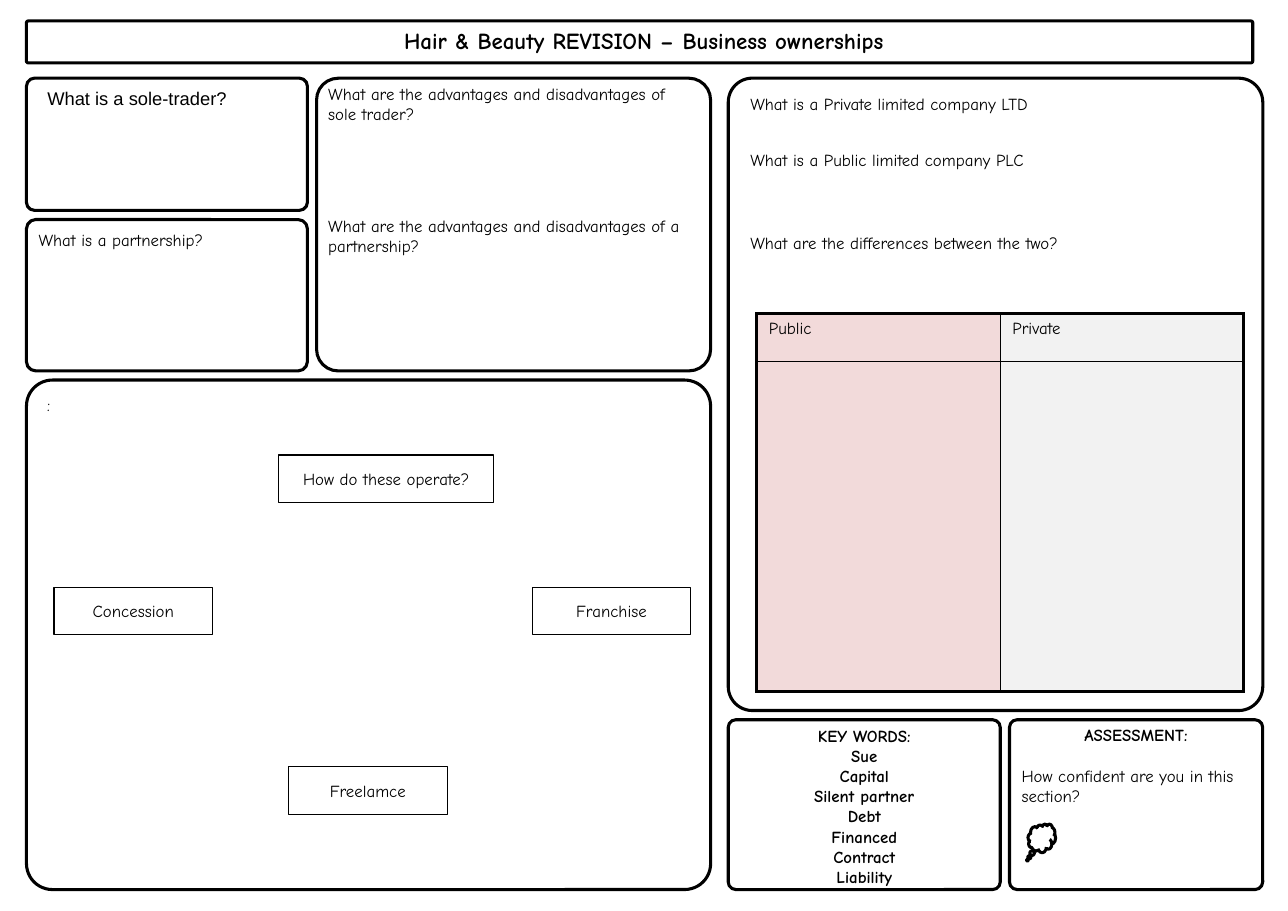
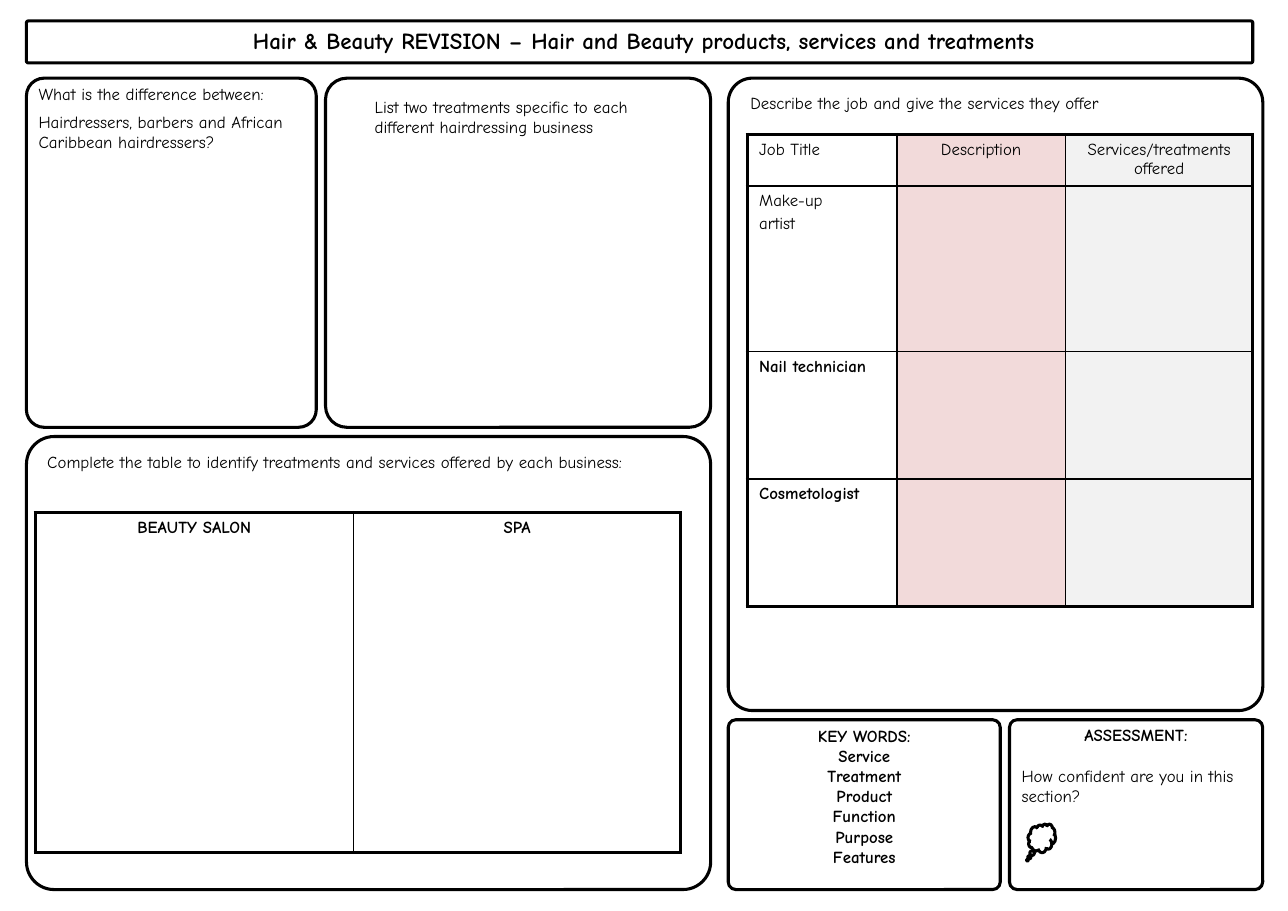
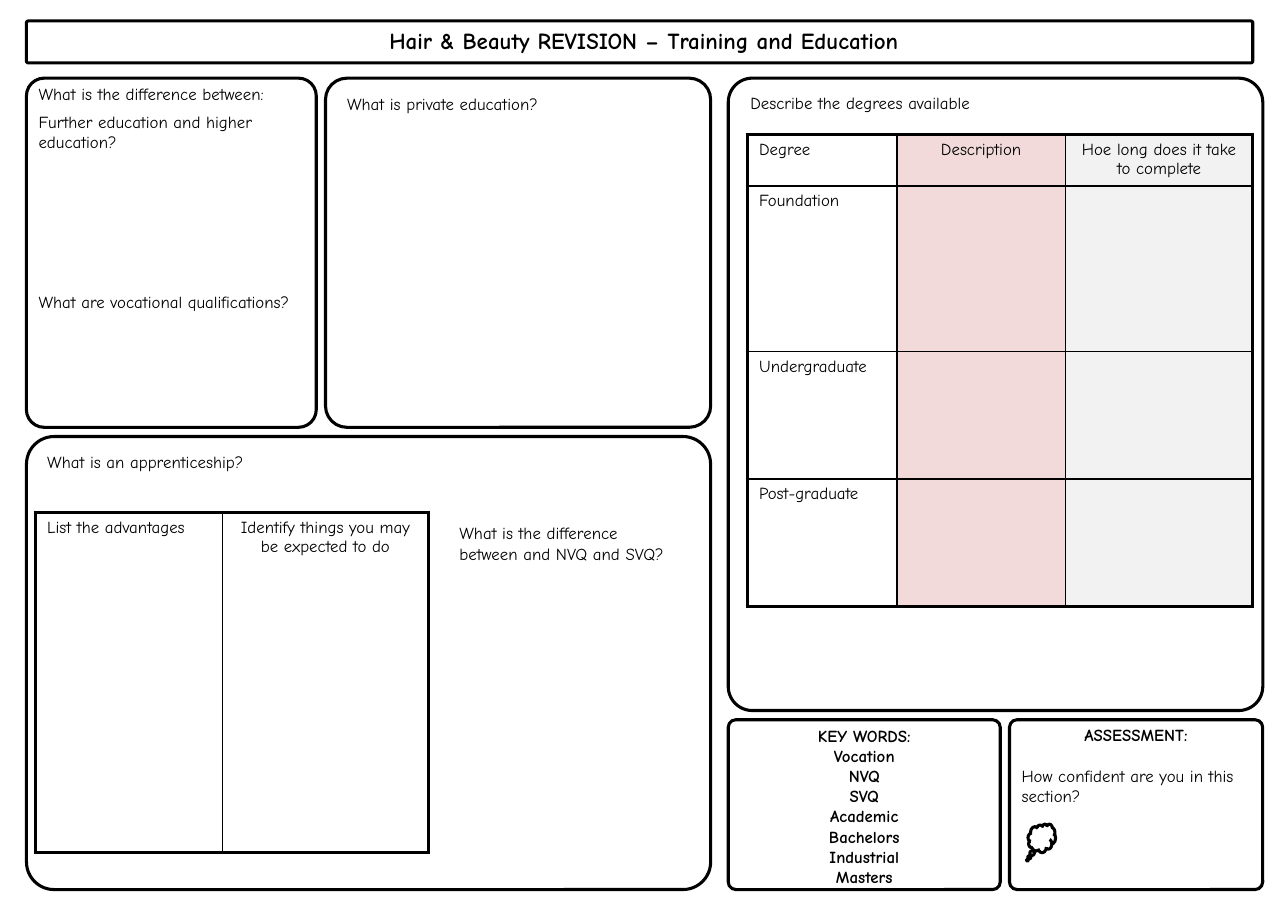
import pptx
import pptx.dml.color
import pptx.enum.shapes
import pptx.enum.text
import pptx.oxml
import pptx.oxml.ns
import pptx.util

Pt = pptx.util.Pt
SHAPES = pptx.enum.shapes.MSO_SHAPE
ALIGN = pptx.enum.text.PP_ALIGN
ANCHOR = pptx.enum.text.MSO_ANCHOR

INK, PINK, GREY = "000000", "F2DADA", "F2F2F2"
HAND, PLAIN = "Comic Neue", "Arial"
PAGE = (841.7, 595.4)
GAP, TOP, BOTTOM = 6, 51.1, 581.4
LEFT, LEFT_WIDTH = 17.3, 447.1
RIGHT, RIGHT_WIDTH = 475.9, 349.3
RIGHT_HEIGHT, KEY_WORDS_WIDTH = 413.3, 177.8
BANNER = (LEFT, 13.7, 801.4, 27.4)
TITLE_BOX = (72, 13.7, 697.7, 26.6)
CLOUD = (671.8, 538.6, 18, 18.7)
LABEL_HEIGHT, LABEL_WIDTH = 31, 103.7
OUTER, INNER = 2.25, 1

JOB_GRID = dict(at=(488.2, 87.8), columns=(97.9, 110.2, 122.4),
                rows=(33.8, 108, 83.5, 83.5), fills=(None, PINK, GREY),
                centred=(False, True, True))
BUSINESS_GRID = dict(at=(23, 334.8), rows=(222.5,), fills=(None, None))
WIDE_LAYOUT = dict(first_width=189.4, upper_height=228.2, first_heights=(228.2,),
                   corners=(0.061, 0.061, 0.061))

SHEETS = [
    dict(
        title="Hair & Beauty REVISION – Business ownerships",
        key_words=["Sue", "Capital", "Silent partner", "Debt", "Financed",
                   "Contract", "Liability"],
        layout=dict(first_width=183.6, upper_height=191.3, first_heights=(86.4, 98.9),
                    corners=(0.061, 0.074, 0.051)),
        questions=[
            ((23, 53.3, 159.1), [("What is a sole-trader?", 0)], (PLAIN, 12)),
            ((17.3, 146.9, 177.8), [("What is a partnership?", 0)]),
            ((206.6, 51.1, 251.3),
             [("What are the advantages and disadvantages of sole trader?", 0),
              ("What are the advantages and disadvantages of a partnership?", 59.6)]),
            ((23, 254.2, 257), [(":", 0)]),
            ((482.4, 57.6, 330.5),
             [("What is a Private limited company LTD", 0),
              ("What is a Public limited company PLC", 23.3),
              ("What are the differences between the two?", 41.5)]),
        ],
        tables=[dict(at=(494.6, 205.2), columns=(159.1, 159.1), rows=(31, 216),
                     fills=(PINK, GREY), centred=(False, False),
                     cells=[["Public", "Private"]])],
        labels=[("How do these operate?", 182.2, 297.4, 140.4),
                ("Franchise", 347.8, 383.8, LABEL_WIDTH),
                ("Freelamce", 188.6, 501.1, LABEL_WIDTH),
                ("Concession", 35.3, 383.8, LABEL_WIDTH)],
    ),
    dict(
        title="Hair & Beauty REVISION – Hair and Beauty products, services and treatments",
        key_words=["Service", "Treatment", "Product", "Function", "Purpose", "Features"],
        layout=WIDE_LAYOUT,
        questions=[
            ((17.3, 51.1, 189.4),
             [("What is the difference between:", 0),
              ("Hairdressers, barbers and African Caribbean hairdressers?", 5)]),
            ((236.9, 59.8, 208.1),
             [("List two treatments specific to each different hairdressing business", 0)]),
            ((23, 291.6, 422.6),
             [("Complete the table to identify treatments and services offered "
               "by each business:", 0)]),
            ((482.4, 56.9, 330.5),
             [("Describe the job and give the services they offer", 0)]),
        ],
        tables=[
            dict(BUSINESS_GRID, columns=(208.1, 213.8), centred=(True, True),
                 cells=[["BEAUTY SALON", "SPA"]], bold=("BEAUTY SALON", "SPA")),
            dict(JOB_GRID,
                 cells=[["Job Title", "Description", "Services/treatments offered"],
                        ["Make-up\nartist"], ["Nail technician"], ["Cosmetologist"]],
                 bold=("Nail technician", "Cosmetologist")),
        ],
    ),
    dict(
        title="Hair & Beauty REVISION – Training and Education",
        key_words=["Vocation", "NVQ", "SVQ", "Academic", "Bachelors", "Industrial",
                   "Masters"],
        layout=WIDE_LAYOUT,
        questions=[
            ((17.3, 51.1, 189.4),
             [("What is the difference between:", 0),
              ("Further education and higher education?", 5),
              ("What are vocational qualifications?", 91.2)]),
            ((218.9, 57.6, 238.3), [("What is private education?", 0)]),
            ((23, 291.6, 422.6), [("What is an apprenticeship?", 0)]),
            ((292.3, 338.4, 159.1),
             [("What is the difference between and NVQ and SVQ?", 0)]),
            ((482.4, 56.9, 330.5), [("Describe the degrees available", 0)]),
        ],
        tables=[
            dict(BUSINESS_GRID, columns=(122.4, 134.6), centred=(False, True),
                 cells=[["List the advantages",
                         "Identify things you may be expected to do"]]),
            dict(JOB_GRID,
                 cells=[["Degree", "Description", "Hoe long does it take to complete"],
                        ["Foundation"], ["Undergraduate"], ["Post-graduate"]]),
        ],
    ),
]


def colour(value):
    return pptx.dml.color.RGBColor.from_string(value)


def points(box):
    return [Pt(length) for length in box]


def write(paragraph, text, size=11, bold=False, centred=False, before=0, face=HAND):
    paragraph.text = text
    paragraph.alignment = ALIGN.CENTER if centred else ALIGN.LEFT
    paragraph.space_before = Pt(before)
    for run in paragraph.runs:
        run.font.name, run.font.size, run.font.bold = face, Pt(size), bold
        run.font.color.rgb = colour(INK)


def fill_frame(frame, lines):
    for index, line in enumerate(lines):
        paragraph = frame.add_paragraph() if index else frame.paragraphs[0]
        write(paragraph, **line)


def set_margins(part):
    part.margin_left = part.margin_right = Pt(7.9)
    part.margin_top = part.margin_bottom = Pt(3.6)


def prepare_frame(frame, anchor=ANCHOR.TOP):
    frame.word_wrap = True
    frame.auto_size = pptx.enum.text.MSO_AUTO_SIZE.NONE
    frame.vertical_anchor = anchor
    set_margins(frame)


def add_outline(slide, kind, box, weight=2, adjustments=()):
    outline = slide.shapes.add_shape(kind, *points(box))
    outline.shadow.inherit = False
    outline.fill.background()
    outline.line.color.rgb = colour(INK)
    outline.line.width = Pt(weight)
    for index, value in enumerate(adjustments):
        outline.adjustments[index] = value
    return outline


def add_panel(slide, box, corner=0.045):
    add_outline(slide, SHAPES.ROUNDED_RECTANGLE, box, adjustments=[corner])


def add_text(slide, box, lines):
    words = slide.shapes.add_textbox(*points(box))
    prepare_frame(words.text_frame)
    fill_frame(words.text_frame, lines)


def place_placeholder(placeholder, box, lines):
    placeholder.left, placeholder.top, placeholder.width, placeholder.height = points(box)
    prepare_frame(placeholder.text_frame)
    fill_frame(placeholder.text_frame, lines)


def add_left_panels(slide, first_width, upper_height, first_heights, corners):
    top = TOP
    for height in first_heights:
        add_panel(slide, (LEFT, top, first_width, height), corners[0])
        top += height + GAP
    second_width = LEFT_WIDTH - first_width - GAP
    add_panel(slide, (LEFT + first_width + GAP, TOP, second_width, upper_height), corners[1])
    lower_top = TOP + upper_height + GAP
    add_panel(slide, (LEFT, lower_top, LEFT_WIDTH, BOTTOM - lower_top), corners[2])


def add_shared_parts(slide, title, key_words):
    add_panel(slide, BANNER)
    place_placeholder(slide.shapes.title, TITLE_BOX,
                      [dict(text=title, size=15, bold=True, centred=True)])
    add_panel(slide, (RIGHT, TOP, RIGHT_WIDTH, RIGHT_HEIGHT))

    foot_top = TOP + RIGHT_HEIGHT + GAP
    foot_height = BOTTOM - foot_top
    add_panel(slide, (RIGHT, foot_top, KEY_WORDS_WIDTH, foot_height))
    word_list = slide.placeholders[1]
    place_placeholder(word_list, (482.4, foot_top, 164.9, foot_height),
                      [dict(text=word, bold=True, centred=True)
                       for word in ["KEY WORDS:"] + key_words])
    for paragraph in word_list.text_frame.paragraphs:
        properties = paragraph._p.get_or_add_pPr()
        properties.set("marL", "0")
        properties.set("indent", "0")
        properties.append(pptx.oxml.parse_xml(
            f'<a:buNone {pptx.oxml.ns.nsdecls("a")}/>'))

    assessment_left = RIGHT + KEY_WORDS_WIDTH + GAP
    assessment = (assessment_left, foot_top, RIGHT + RIGHT_WIDTH - assessment_left, foot_height)
    add_panel(slide, assessment)
    add_text(slide, assessment,
             [dict(text="ASSESSMENT:", bold=True, centred=True),
              dict(text="How confident are you in this section?", before=13.3)])
    add_outline(slide, SHAPES.CLOUD_CALLOUT, CLOUD, adjustments=(-0.522, 0.761))


def set_borders(cell, widths):
    properties = cell._tc.get_or_add_tcPr()
    for side, width in zip("LRTB", widths):
        properties.append(pptx.oxml.parse_xml(
            f'<a:ln{side} {pptx.oxml.ns.nsdecls("a")} w="{Pt(width)}"><a:solidFill>'
            f'<a:srgbClr val="{INK}"/></a:solidFill></a:ln{side}>'))


def add_grid(slide, at, columns, rows, fills, centred, cells, bold=()):
    box = (*at, sum(columns), sum(rows))
    grid = slide.shapes.add_table(len(rows), len(columns), *points(box)).table
    grid.first_row = grid.horz_banding = False
    for column, width in zip(grid.columns, columns):
        column.width = Pt(width)
    for row, height in zip(grid.rows, rows):
        row.height = Pt(height)
    for r in range(len(rows)):
        for c in range(len(columns)):
            cell = grid.cell(r, c)
            set_margins(cell)
            edges = (c == 0, c == len(columns) - 1, r == 0, r == len(rows) - 1)
            set_borders(cell, [OUTER if edge else INNER for edge in edges])
            if fills[c]:
                cell.fill.solid()
                cell.fill.fore_color.rgb = colour(fills[c])
            else:
                cell.fill.background()
            if r < len(cells) and c < len(cells[r]):
                text = cells[r][c]
                fill_frame(cell.text_frame,
                           [dict(text=line, bold=text in bold, centred=centred[c],
                                 before=2 if index else 0)
                            for index, line in enumerate(text.split("\n"))])


def add_label(slide, text, left, top, width):
    label = add_outline(slide, SHAPES.RECTANGLE, (left, top, width, LABEL_HEIGHT), 0.75)
    prepare_frame(label.text_frame, ANCHOR.MIDDLE)
    fill_frame(label.text_frame, [dict(text=text, centred=True)])


def add_question(slide, place, lines, style=(HAND, 11)):
    face, size = style
    height = 10 + sum(before + 26 for text, before in lines)
    add_text(slide, (*place, height),
             [dict(text=text, before=before, face=face, size=size) for text, before in lines])


def main():
    deck = pptx.Presentation()
    deck.slide_width, deck.slide_height = points(PAGE)
    for sheet in SHEETS:
        slide = deck.slides.add_slide(deck.slide_layouts[1])
        add_shared_parts(slide, sheet["title"], sheet["key_words"])
        add_left_panels(slide, **sheet["layout"])
        for question in sheet["questions"]:
            add_question(slide, *question)
        for table in sheet["tables"]:
            add_grid(slide, **table)
        for label in sheet.get("labels", []):
            add_label(slide, *label)
    deck.save("out.pptx")


if __name__ == "__main__":
    main()
